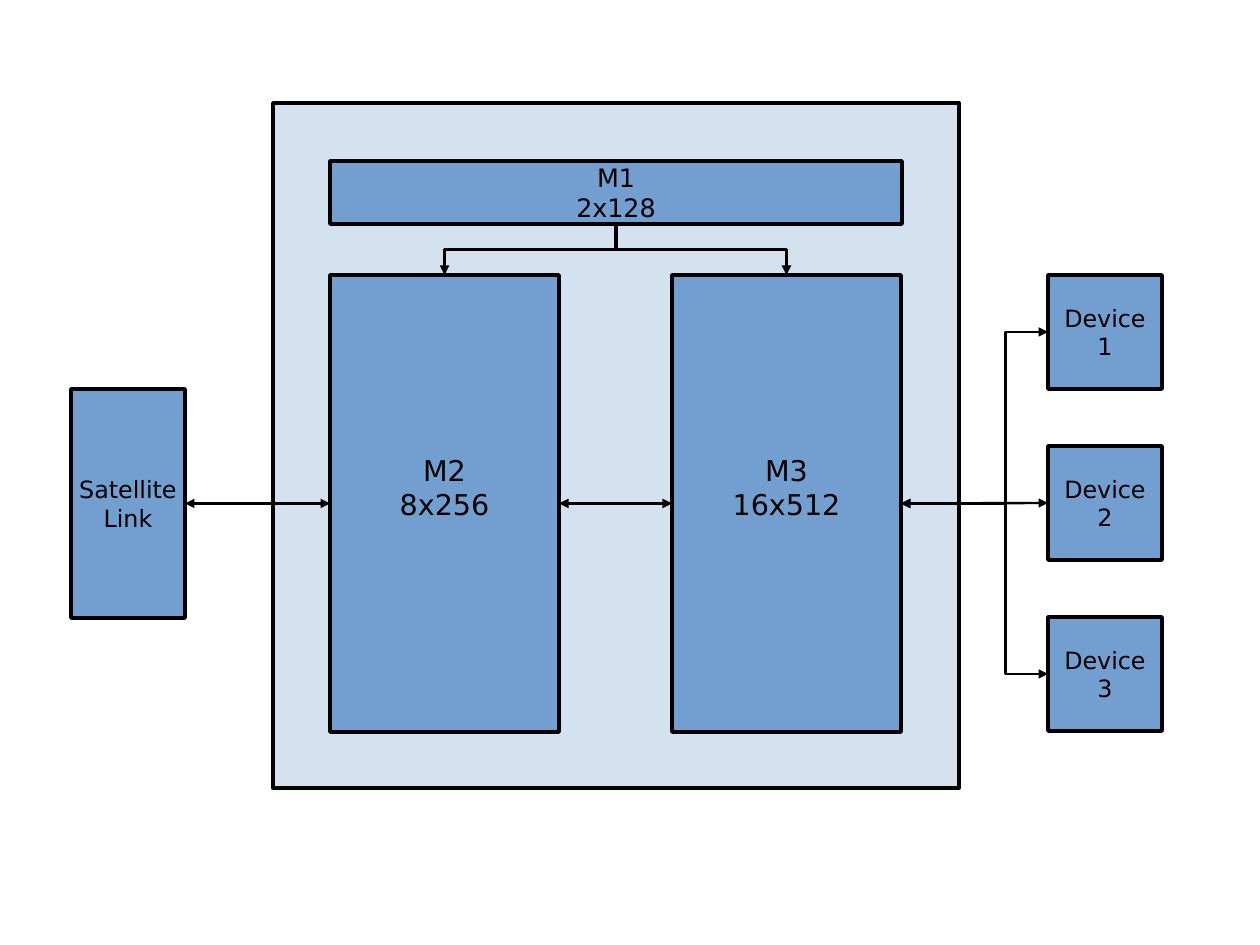
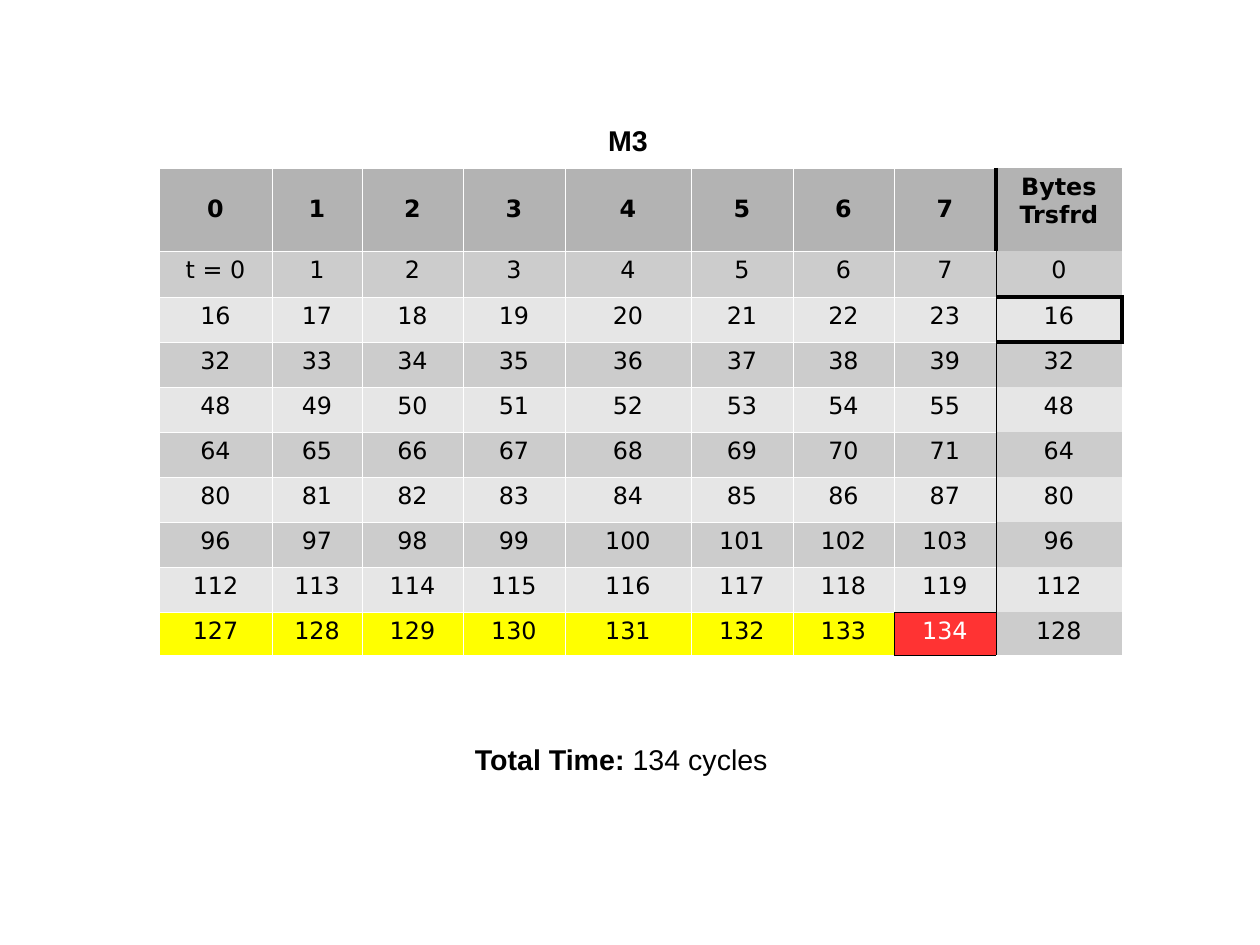
from typing import NamedTuple

from lxml import etree
from pptx import Presentation
from pptx.dml.color import RGBColor
from pptx.enum.shapes import MSO_CONNECTOR as Link, MSO_SHAPE as Shape
from pptx.enum.text import MSO_ANCHOR as Anchor, PP_ALIGN as Align
from pptx.oxml.ns import qn
from pptx.util import Emu, Pt

BLUE = RGBColor(0x72, 0x9F, 0xCF)
BLACK = RGBColor(0, 0, 0)
WHITE = RGBColor(0xFF, 0xFF, 0xFF)
HEADER_GREY = RGBColor(0xB3, 0xB3, 0xB3)
DARK_GREY = RGBColor(0xCC, 0xCC, 0xCC)
LIGHT_GREY = RGBColor(0xE6, 0xE6, 0xE6)
YELLOW = RGBColor(0xFF, 0xFF, 0)
RED = RGBColor(0xFF, 0x33, 0x33)

DIAGRAM_FONT = "DejaVu Sans"
CAPTION_FONT = "Arial"
TITLE_ONLY, BLANK = 5, 6
TOP, LEFT, BOTTOM, RIGHT = range(4)
NO_STYLE = "{2D5ABB26-0587-4C30-8999-92F81FD0307C}"

COLUMN_WIDTHS = (113, 90, 101, 102, 126, 102, 101, 102, 126)
ROW_HEIGHTS = (83, 46, *[45] * 7, 43)
ROW_STARTS = (*range(0, 128, 16), 127)
LAST_ROW = len(ROW_HEIGHTS) - 1
LAST_COLUMN = len(COLUMN_WIDTHS) - 1


class Area(NamedTuple):
    left: int
    top: int
    width: int
    height: int


class Block(NamedTuple):
    name: str
    text: str
    area: Area
    size: int
    lift: int = 0


class Wire(NamedTuple):
    start: str
    start_side: int
    end: str
    end_side: int
    width: float
    bend: int = 0
    two_way: bool = True


class Edge(NamedTuple):
    color: RGBColor
    width: float


MEMORY_TOP, MEMORY_WIDTH, MEMORY_HEIGHT = 275, 229, 457
DEVICE_SIZE, DEVICE_STEP = 114, 171
CONTROLLER = Area(273, 103, 686, 685)
BLOCKS = [
    *[
        Block(f"Device {n + 1}", f"Device\v{n + 1}",
              Area(1048, MEMORY_TOP + n * DEVICE_STEP, DEVICE_SIZE, DEVICE_SIZE), 15)
        for n in range(3)
    ],
    Block("M3", "M3\n16x512", Area(672, MEMORY_TOP, MEMORY_WIDTH, MEMORY_HEIGHT), 18, 33),
    Block("M2", "M2\n8x256", Area(330, MEMORY_TOP, MEMORY_WIDTH, MEMORY_HEIGHT), 18, 33),
    Block("Satellite", "Satellite\nLink", Area(71, 389, 114, 229), 15),
    Block("M1", "M1\n2x128", Area(330, 161, 572, 63), 16),
]
WIRES = [
    Wire("M2", LEFT, "Satellite", RIGHT, 1.5),
    Wire("M3", RIGHT, "Device 1", LEFT, 1.5, bend=71),
    Wire("M3", RIGHT, "Device 2", LEFT, 1.5),
    Wire("M3", RIGHT, "Device 3", LEFT, 1.5, bend=71),
    Wire("M2", RIGHT, "M3", LEFT, 0),
    Wire("M1", BOTTOM, "M2", TOP, 0, bend=50, two_way=False),
    Wire("M1", BOTTOM, "M3", TOP, 0, bend=50, two_way=False),
]

THIN_WHITE = Edge(WHITE, 0.06)
THIN_BLACK = Edge(BLACK, 0.06)
THICK_BLACK = Edge(BLACK, 2.72)


def px(count: int) -> Emu:
    return Emu(count * 8000)


def place(area: Area) -> tuple[Emu, ...]:
    return tuple(px(length) for length in area)


def set_insets(frame, side: int, end: int, lift: int = 0) -> None:
    """Set the margins; lift raises centred text by half its amount."""
    frame.margin_left = frame.margin_right = px(side)
    frame.margin_top, frame.margin_bottom = px(end), px(end + lift)


def style_paragraphs(frame, font: str, size: int, color: RGBColor = BLACK,
                     bold: bool = False, align: Align = Align.CENTER) -> None:
    for para in frame.paragraphs:
        para.alignment = align
        para.font.name, para.font.size, para.font.bold = font, Pt(size), bold
        para.font.color.rgb = color


def add_box(page, area: Area):
    box = page.shapes.add_shape(Shape.RECTANGLE, *place(area))
    box.shadow.inherit = False
    box.fill.solid()
    box.fill.fore_color.rgb = BLUE
    box.line.color.rgb = BLACK
    box.line.width = Pt(2.3)
    return box


def add_block(page, block: Block):
    box = add_box(page, block.area)
    frame = box.text_frame
    frame.text = block.text
    frame.word_wrap = False
    frame.vertical_anchor = Anchor.MIDDLE
    set_insets(frame, 13, 7, block.lift)
    style_paragraphs(frame, DIAGRAM_FONT, block.size)
    return box


def turn_downward(wire) -> None:
    """Turn an elbow a quarter so that it leaves and arrives vertically."""
    across, down = wire.width, wire.height
    middle_x, middle_y = wire.left + across // 2, wire.top + down // 2
    goes_right = wire.end_x > wire.begin_x
    wire.left, wire.top = Emu(middle_x - down // 2), Emu(middle_y - across // 2)
    wire.width, wire.height = down, across
    xfrm = wire.element.spPr.find(qn("a:xfrm"))
    xfrm.attrib.pop("flipH", None)
    xfrm.set("rot", "5400000")
    if goes_right:
        xfrm.set("flipV", "1")


def add_wire(page, boxes: dict, plan: Wire) -> None:
    kind = Link.ELBOW if plan.bend else Link.STRAIGHT
    wire = page.shapes.add_connector(kind, 0, 0, 0, 0)
    wire.begin_connect(boxes[plan.start], plan.start_side)
    wire.end_connect(boxes[plan.end], plan.end_side)
    wire.line.color.rgb = BLACK
    wire.line.width = Pt(plan.width)
    properties = wire.element.spPr
    line = properties.find(qn("a:ln"))
    for tag in ("a:headEnd", "a:tailEnd") if plan.two_way else ("a:tailEnd",):
        etree.SubElement(line, qn(tag), type="triangle")
    etree.SubElement(properties, qn("a:effectLst"))
    if plan.bend:
        guides = properties.find(qn("a:prstGeom")).get_or_add_avLst()
        etree.SubElement(guides, qn("a:gd"), name="adj1", fmla=f"val {plan.bend * 1000}")
    if plan.start_side == BOTTOM:
        turn_downward(wire)


def build_diagram(deck) -> None:
    page = deck.slides.add_slide(deck.slide_layouts[BLANK])
    controller = add_box(page, CONTROLLER)
    tint = controller.element.spPr.find(qn("a:solidFill"))[0]
    etree.SubElement(tint, qn("a:alpha"), val="30000")
    boxes = {block.name: add_block(page, block) for block in BLOCKS}
    for plan in WIRES:
        add_wire(page, boxes, plan)


def cell_text(row: int, column: int) -> str:
    if row == 0:
        return "Bytes\vTrsfrd" if column == LAST_COLUMN else str(column)
    if column == LAST_COLUMN:
        return str(16 * (row - 1))
    label = str(ROW_STARTS[row - 1] + column)
    return f"t = {label}" if (row, column) == (1, 0) else label


def cell_fill(row: int, column: int) -> RGBColor:
    if row == 0:
        return HEADER_GREY
    if row == LAST_ROW and column < LAST_COLUMN:
        return RED if column == LAST_COLUMN - 1 else YELLOW
    return DARK_GREY if row % 2 else LIGHT_GREY


def cell_edges(row: int, column: int) -> dict[str, Edge]:
    """Give the borders of a cell by side, in the order the file needs."""
    if column == LAST_COLUMN:
        if row == 2:
            return {"L": THIN_BLACK, **dict.fromkeys("RTB", THICK_BLACK)}
        return {"L": THIN_BLACK if row else THICK_BLACK}
    if column == LAST_COLUMN - 1:
        if row == LAST_ROW:
            return dict.fromkeys("LTB", THIN_BLACK)
        return dict.fromkeys("LT" if row == LAST_ROW - 1 else "LTB", THIN_WHITE)
    before_red = (row, column) == (LAST_ROW, LAST_COLUMN - 2)
    return dict.fromkeys("LTB" if before_red else "LRTB", THIN_WHITE)


def draw_edges(cell, edges: dict[str, Edge]) -> None:
    properties = cell._tc.get_or_add_tcPr()
    for index, (side, edge) in enumerate(edges.items()):
        line = etree.Element(qn(f"a:ln{side}"), w=str(Pt(edge.width)))
        fill = etree.SubElement(line, qn("a:solidFill"))
        etree.SubElement(fill, qn("a:srgbClr"), val=str(edge.color))
        properties.insert(index, line)


def fill_cell(cell, row: int, column: int) -> None:
    cell.text = cell_text(row, column)
    fill = cell_fill(row, column)
    cell.fill.solid()
    cell.fill.fore_color.rgb = fill
    centred = row == 0 and column < LAST_COLUMN
    cell.vertical_anchor = Anchor.MIDDLE if centred else Anchor.TOP
    style_paragraphs(cell.text_frame, DIAGRAM_FONT, 15,
                     WHITE if fill == RED else BLACK, bold=row == 0)
    draw_edges(cell, cell_edges(row, column))


def add_timing_table(page) -> None:
    area = Area(159, 168, sum(COLUMN_WIDTHS), sum(ROW_HEIGHTS))
    table = page.shapes.add_table(len(ROW_HEIGHTS), len(COLUMN_WIDTHS), *place(area)).table
    table.first_row = table.horz_banding = False
    table._tbl.tblPr.find(qn("a:tableStyleId")).text = NO_STYLE
    for column, width in zip(table.columns, COLUMN_WIDTHS):
        column.width = px(width)
    for row, height in enumerate(ROW_HEIGHTS):
        table.rows[row].height = px(height)
        for column in range(len(COLUMN_WIDTHS)):
            fill_cell(table.cell(row, column), row, column)


def format_caption(frame, bold: bool, align: Align) -> None:
    frame.word_wrap = False
    frame.vertical_anchor = Anchor.TOP
    set_insets(frame, 11, 6)
    style_paragraphs(frame, CAPTION_FONT, 18, bold=bold, align=align)


def build_timing(deck) -> None:
    page = deck.slides.add_slide(deck.slide_layouts[TITLE_ONLY])
    title = page.shapes.title
    title.left, title.top, title.width, title.height = place(Area(597, 117, 62, 43))
    title.text_frame.text = "M3"
    format_caption(title.text_frame, bold=True, align=Align.CENTER)

    add_timing_table(page)

    total = page.shapes.add_textbox(*place(Area(464, 736, 316, 43))).text_frame
    for text, bold in (("Total Time:", True), (" 134 cycles", False)):
        span = total.paragraphs[0].add_run()
        span.text, span.font.bold = text, bold
    format_caption(total, bold=False, align=Align.LEFT)


def main() -> None:
    deck = Presentation()
    deck.slide_width, deck.slide_height = px(1260), px(945)
    build_diagram(deck)
    build_timing(deck)
    deck.save("out.pptx")


if __name__ == "__main__":
    main()
